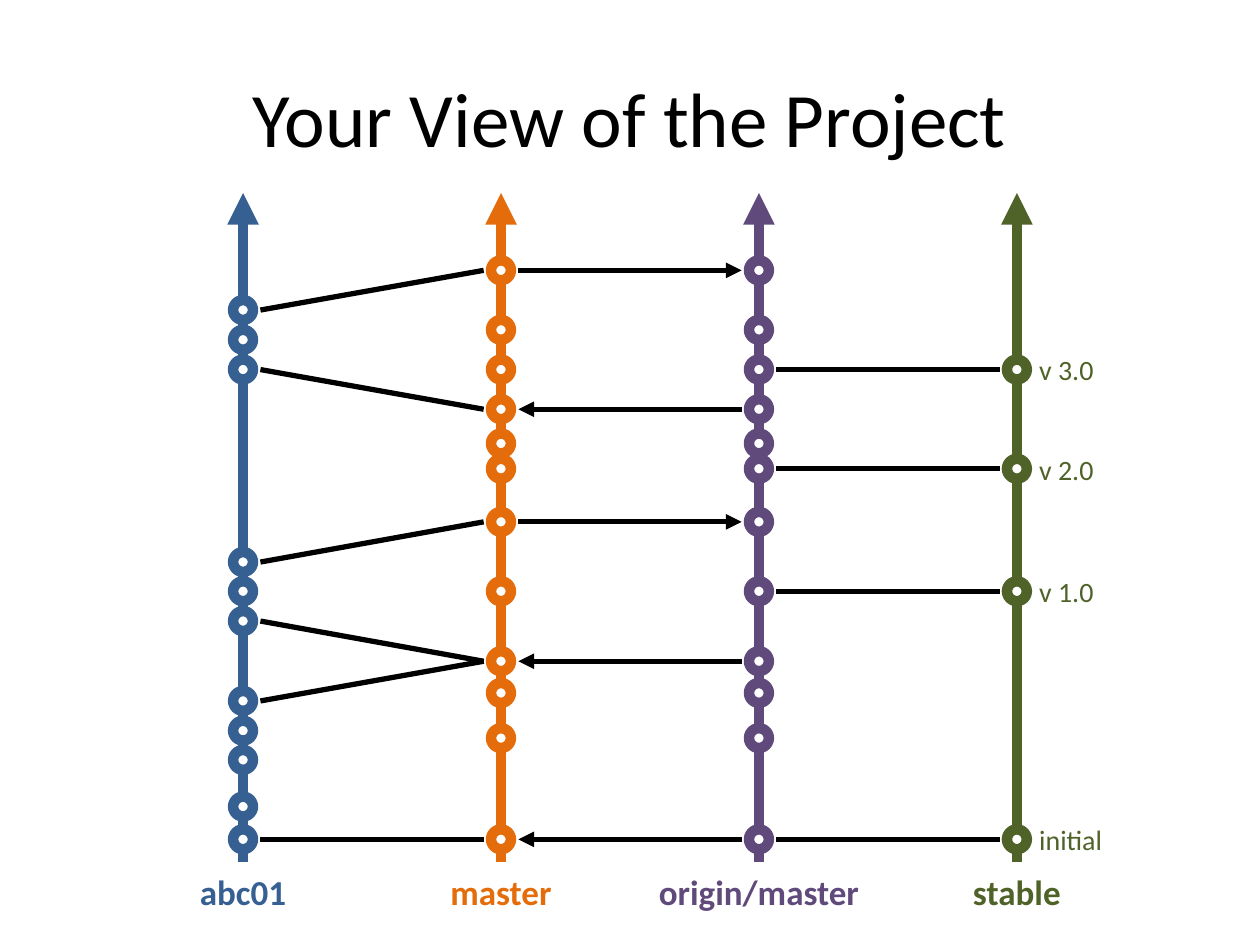
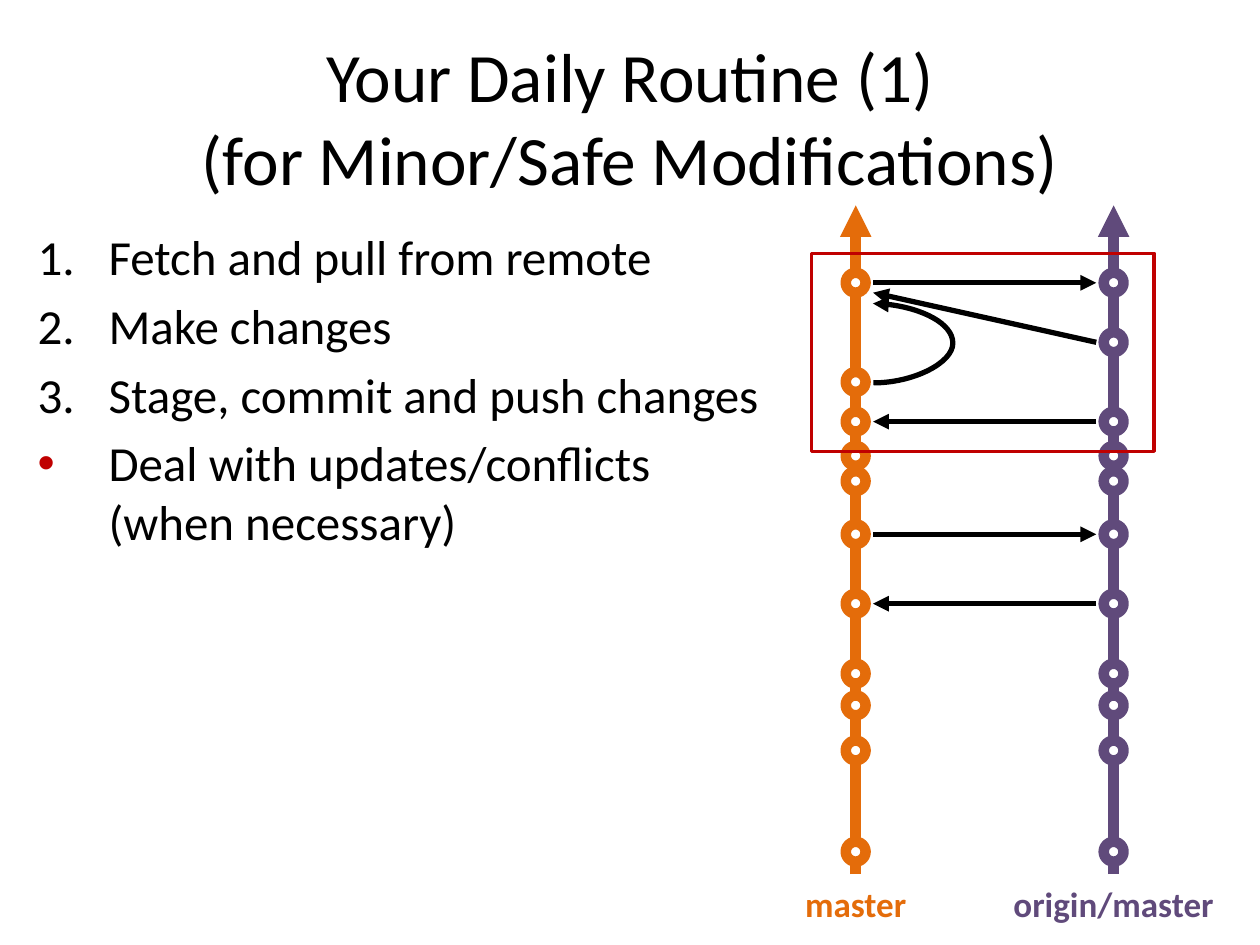
from dataclasses import dataclass

from lxml import etree
from pptx import Presentation
from pptx.dml.color import RGBColor
from pptx.enum.shapes import MSO_CONNECTOR, MSO_SHAPE
from pptx.enum.text import MSO_ANCHOR, MSO_AUTO_SIZE, PP_ALIGN
from pptx.oxml.ns import qn
from pptx.util import Cm, Pt

STRAIGHT, CURVE = MSO_CONNECTOR.STRAIGHT, MSO_CONNECTOR.CURVE
OVAL, RECTANGLE = MSO_SHAPE.OVAL, MSO_SHAPE.RECTANGLE
LEFT, CENTER = PP_ALIGN.LEFT, PP_ALIGN.CENTER
TOP, MIDDLE = MSO_ANCHOR.TOP, MSO_ANCHOR.MIDDLE
FIT_SHAPE, NO_FIT = MSO_AUTO_SIZE.SHAPE_TO_FIT_TEXT, MSO_AUTO_SIZE.NONE


@dataclass(frozen=True)
class Theme:
    font: str = "Calibri"
    black: str = "000000"
    white: str = "FFFFFF"
    red: str = "C00000"
    blue: str = "376092"
    orange: str = "E46C0A"
    purple: str = "604A7B"
    green: str = "4F6228"
    title: float = 44
    long_title: float = 39.6
    body: float = 28
    branch: float = 20
    tag: float = 16
    axis_line: float = 6
    link_line: float = 3
    frame_line: float = 2


theme = Theme()


def write(frame, text, size, color=theme.black, bold=False, align=LEFT,
          anchor=TOP, fit=NO_FIT, before=0):
    frame.word_wrap = True
    frame.auto_size = fit
    frame.vertical_anchor = anchor
    frame.text = text
    for paragraph in frame.paragraphs:
        paragraph.alignment = align
        paragraph.space_before = Pt(before)
        for run in paragraph.runs:
            run.font.name = theme.font
            run.font.size = Pt(size)
            run.font.bold = bold
            run.font.color.rgb = RGBColor.from_string(color)


def connect(slide, start, end, color=theme.black, width=theme.link_line,
            arrow=True, kind=STRAIGHT):
    connector = slide.shapes.add_connector(kind, *map(Cm, start + end))
    connector.line.color.rgb = RGBColor.from_string(color)
    connector.line.width = Pt(width)
    properties = connector.element.spPr
    if arrow:
        etree.SubElement(properties.find(qn("a:ln")), qn("a:tailEnd"), type="triangle")
    etree.SubElement(properties, qn("a:effectLst"))
    return connector


AXIS_TOP, AXIS_BOTTOM, LABEL_TOP = 3.89, 17.37, 17.42
COMMIT, LINK_GAP = 0.4, 0.35

shared_commits = [5.45, 6.65, 7.45, 8.25, 8.94, 9.45, 10.52, 11.92, 13.33, 13.97, 14.88, 16.92]
abc_commits = [6.25, 6.85, 7.45, 11.33, 11.92, 12.52, 14.13, 14.73, 15.32, 16.26, 16.92]
releases = {7.45: "v 3.0", 9.45: "v 2.0", 11.92: "v 1.0", 16.92: "initial"}

project_branches = [
    ("abc01", 4.9, 3, theme.blue, abc_commits),
    ("master", 10.1, 3, theme.orange, shared_commits),
    ("origin/master", 15.3, 4.9, theme.purple, shared_commits),
    ("stable", 20.5, 3, theme.green, list(releases)),
]
routine_branches = [
    ("master", 17.25, 3, theme.orange, [y for y in shared_commits if y != 6.65]),
    ("origin/master", 22.45, 4.9, theme.purple, [y for y in shared_commits if y != 7.45]),
]
project_links = [
    ("abc01", 6.25, "master", 5.45, False),
    ("abc01", 7.45, "master", 8.25, False),
    ("abc01", 11.33, "master", 10.52, False),
    ("abc01", 12.52, "master", 13.33, False),
    ("abc01", 14.13, "master", 13.33, False),
    ("abc01", 16.92, "master", 16.92, False),
    ("master", 5.45, "origin/master", 5.45, True),
    ("origin/master", 8.25, "master", 8.25, True),
    ("master", 10.52, "origin/master", 10.52, True),
    ("origin/master", 13.33, "master", 13.33, True),
    ("origin/master", 16.92, "master", 16.92, True),
] + [("origin/master", y, "stable", y, False) for y in releases]
routine_links = [
    ("master", 5.45, "origin/master", 5.45, True),
    ("origin/master", 6.65, "master", 5.65, True),
    ("origin/master", 8.25, "master", 8.25, True),
    ("master", 10.52, "origin/master", 10.52, True),
    ("origin/master", 11.92, "master", 11.92, True),
]
views = [
    ("Your View of the Project", theme.title, 0, project_branches, project_links),
    ("Your Daily Routine (1)\v(for Minor/Safe Modifications)", theme.long_title, 0.25,
     routine_branches, routine_links),
]

deck = Presentation()
deck.slide_width, deck.slide_height = Cm(25.4), Cm(19.05)

for heading, heading_size, drop, branches, links in views:
    slide = deck.slides.add_slide(deck.slide_layouts[5])
    title = slide.shapes.title
    title.left, title.top, title.width, title.height = Cm(1.27), Cm(0.76), Cm(22.86), Cm(3.18)
    write(title.text_frame, heading, heading_size, align=CENTER, anchor=MIDDLE)

    for name, x, label_width, color, commits in branches:
        connect(slide, (x, AXIS_BOTTOM + drop), (x, AXIS_TOP + drop), color, theme.axis_line)
        label = slide.shapes.add_textbox(Cm(x - label_width / 2), Cm(LABEL_TOP + drop),
                                         Cm(label_width), Cm(1.11))
        write(label.text_frame, name, theme.branch, color, bold=True, align=CENTER, fit=FIT_SHAPE)
        for y in commits:
            commit = slide.shapes.add_shape(OVAL, Cm(x - COMMIT / 2), Cm(y + drop - COMMIT / 2),
                                            Cm(COMMIT), Cm(COMMIT))
            commit.shadow.inherit = False
            commit.fill.solid()
            commit.fill.fore_color.rgb = RGBColor.from_string(theme.white)
            commit.line.color.rgb = RGBColor.from_string(color)
            commit.line.width = Pt(theme.axis_line)
            if name == "stable":
                tag = slide.shapes.add_textbox(Cm(x + 0.2), Cm(y - 0.46), Cm(3), Cm(0.94))
                write(tag.text_frame, releases[y], theme.tag, color, fit=FIT_SHAPE)

    axis_x = {branch[0]: branch[1] for branch in branches}
    for source, source_y, target, target_y, arrow in links:
        gap = LINK_GAP if axis_x[source] < axis_x[target] else -LINK_GAP
        connect(slide, (axis_x[source] + gap, source_y + drop),
                (axis_x[target] - gap, target_y + drop), arrow=arrow)

steps = [
    "Fetch and pull from remote",
    "Make changes",
    "Stage, commit and push changes",
    "Deal with updates/conflicts (when necessary)",
]
routine = slide.shapes.add_textbox(Cm(0.51), Cm(4.45), Cm(15.19), Cm(12.57))
write(routine.text_frame, "\n".join(steps), theme.body, before=5.6)
for number, step in enumerate(routine.text_frame.paragraphs, 1):
    layout = step._p.get_or_add_pPr()
    layout.set("marL", str(Cm(1.43)))
    layout.set("indent", str(-Cm(1.43)))
    if number < len(steps):
        etree.SubElement(layout, qn("a:buFont"), typeface="+mj-lt")
        etree.SubElement(layout, qn("a:buAutoNum"), type="arabicPeriod")
    else:
        bullet_color = etree.SubElement(layout, qn("a:buClr"))
        etree.SubElement(bullet_color, qn("a:srgbClr"), val=theme.red)
        etree.SubElement(layout, qn("a:buFont"), typeface="Arial")
        etree.SubElement(layout, qn("a:buChar"), char="•")

daily_cycle = slide.shapes.add_shape(RECTANGLE, Cm(16.36), Cm(5.11), Cm(6.91), Cm(3.99))
daily_cycle.shadow.inherit = False
daily_cycle.fill.background()
daily_cycle.line.color.rgb = RGBColor.from_string(theme.red)
daily_cycle.line.width = Pt(theme.frame_line)

BULGE, CURVE_WIDTH = 1.6, 0.01
local_change = connect(slide, (17.6 + CURVE_WIDTH, 7.72), (17.6, 6.12), kind=CURVE)
adjustments = local_change.element.spPr.find(qn("a:prstGeom")).find(qn("a:avLst"))
etree.SubElement(adjustments, qn("a:gd"), name="adj1",
                 fmla=f"val {round(-BULGE / CURVE_WIDTH * 100000)}")

deck.save("out.pptx")
